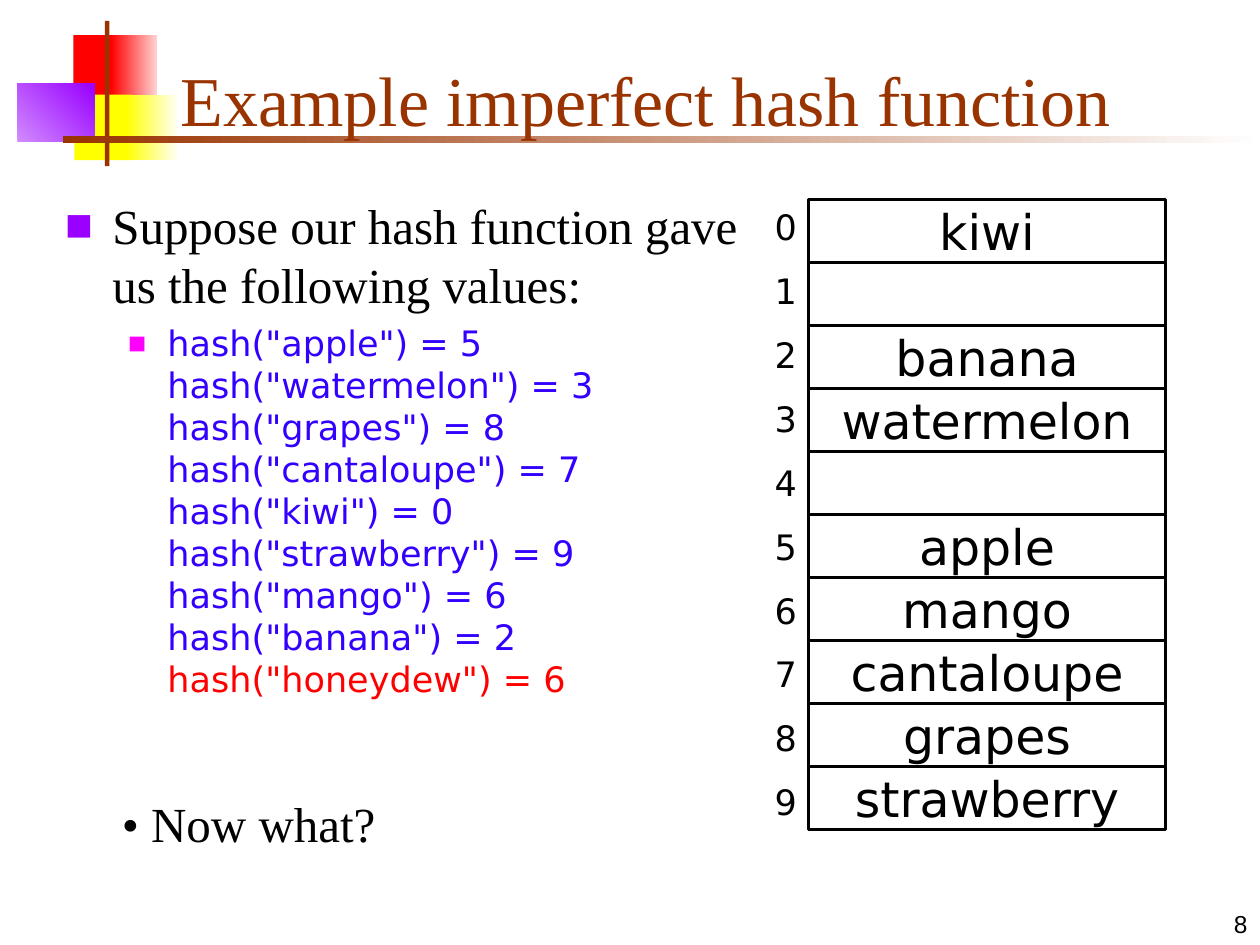
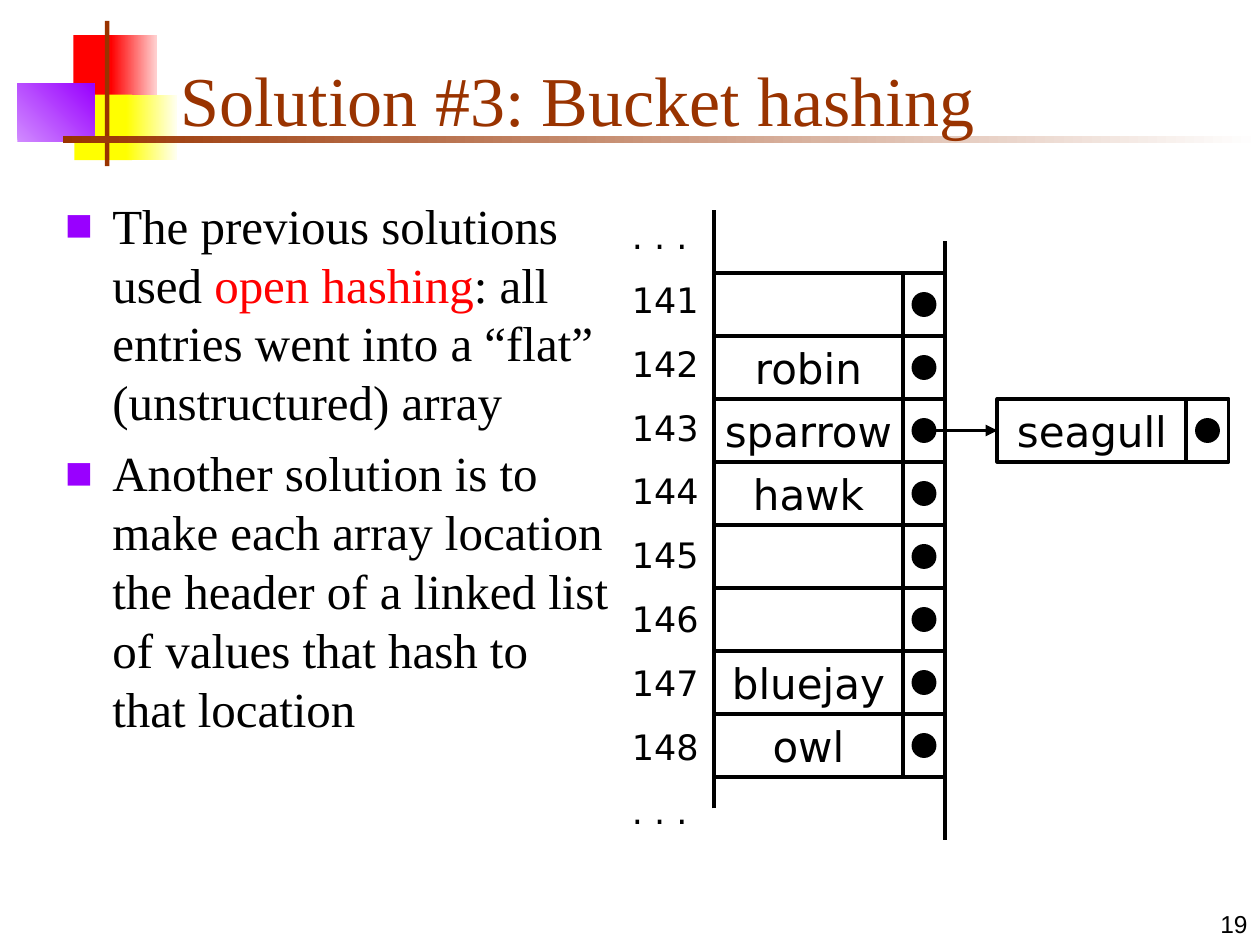
"""Build two slides on hash tables: an imperfect hash function and bucket hashing."""
from copy import deepcopy

from lxml import etree
from pptx import Presentation
from pptx.dml.color import RGBColor
from pptx.enum.shapes import MSO_CONNECTOR, MSO_SHAPE
from pptx.enum.text import MSO_ANCHOR, MSO_AUTO_SIZE, PP_ALIGN
from pptx.oxml.ns import qn
from pptx.util import Pt

RECT, CELL, DOT = MSO_SHAPE.RECTANGLE, MSO_SHAPE.FLOWCHART_PROCESS, MSO_SHAPE.OVAL
STRAIGHT = MSO_CONNECTOR.STRAIGHT
TOP, MIDDLE, BOTTOM = MSO_ANCHOR.TOP, MSO_ANCHOR.MIDDLE, MSO_ANCHOR.BOTTOM
LEFT, CENTER, RIGHT = PP_ALIGN.LEFT, PP_ALIGN.CENTER, PP_ALIGN.RIGHT
NO_FIT = MSO_AUTO_SIZE.NONE

COLORS = {
    "black": "000000", "white": "FFFFFF", "brown": "993300", "blue": "3300FF",
    "red": "FF0000", "pink": "FFD1D1", "yellow": "FFFF00", "cream": "FFFFF0",
    "lilac": "D18BFF", "purple": "9900FF", "magenta": "FF00FF",
}
SERIF, SANS, NUMBER_FONT = "Times New Roman", "DejaVu Sans", "Arial"
ROW, LINE = 36, 2.25

BANDS = [
    (42, 20, 25, 37.5, ["red"], 0),
    (63.5, 20, 26, 37.5, ["red", "pink"], 0),
    (42.5, 54, 33, 37.5, ["yellow"], 0),
    (72, 54, 29, 37.5, ["yellow", "cream"], 0),
    (10, 48, 44, 33, ["lilac", "purple"], 45),
    (60, 12, 2.5, 83, ["brown"], 0),
    (36, 78, 684, 3.75, ["brown", "white"], 0),
]
BULLETS = [(27, -27, 7, "purple", 60), (58.5, -22.5, 5, "magenta", 55)]

HASHES = [("apple", 5), ("watermelon", 3), ("grapes", 8), ("cantaloupe", 7),
          ("kiwi", 0), ("strawberry", 9), ("mango", 6), ("banana", 2),
          ("honeydew", 6)]
HASH_LINES = "\n".join(f'hash("{fruit}") = {slot}' for fruit, slot in HASHES)

SLIDES = [
    {"title": "Example imperfect hash function", "number": "8",
     "body": (404, 344),
     "list": [(0, ["Suppose our hash function gave us the following values:"]),
              (1, [HASH_LINES])],
     "labels": (435.5, 114, 26, [str(i) for i in range(10)])},
    {"title": "Solution #3: Bucket hashing", "number": "19",
     "body": (325, 375),
     "list": [(0, ["The previous solutions used ", "open hashing",
                   ": all entries went into a “flat” (unstructured) array"]),
              (0, ["Another solution is to make each array location the header "
                   "of a linked list of values that hash to that location"])],
     "labels": (354, 119, 54,
                [". . .", *(str(i) for i in range(141, 149)), ". . ."])},
]


def style(p, size, font, color="black", align=LEFT):
    """Format a paragraph and all its runs."""
    p.alignment = align
    for r in p.runs:
        r.font.size, r.font.name = Pt(size), font
        r.font.color.rgb = RGBColor.from_string(COLORS[color])


def add_box(s, kind, x, y, w, h, fill=None, text="", size=28):
    """Add an outlined shape with optional centred text."""
    sp = s.shapes.add_shape(kind, Pt(x), Pt(y), Pt(w), Pt(h))
    sp.shadow.inherit = False
    sp.line.color.rgb = RGBColor.from_string(COLORS["black"])
    sp.line.width = Pt(LINE)
    if fill:
        sp.fill.solid()
        sp.fill.fore_color.rgb = RGBColor.from_string(COLORS[fill])
    else:
        sp.fill.background()
    if text:
        tf = sp.text_frame
        tf.text, tf.word_wrap, tf.vertical_anchor = text, False, MIDDLE
        style(tf.paragraphs[0], size, SANS, align=CENTER)
    return sp


prs = Presentation()
prs.slide_width, prs.slide_height = Pt(720), Pt(540)

for content in SLIDES:
    s = prs.slides.add_slide(prs.slide_layouts[1])
    title, body = s.placeholders

    for x, y, w, h, fills, angle in BANDS:
        sp = add_box(s, RECT, x, y, w, h, fills[0])
        sp.line.fill.background()
        if len(fills) > 1:
            sp.fill.gradient()
            sp.fill.gradient_angle = angle
            for stop, name in zip(sp.fill.gradient_stops, fills):
                stop.color.rgb = RGBColor.from_string(COLORS[name])

    sp = s.shapes.add_textbox(Pt(570), Pt(504), Pt(150), Pt(36))
    tf = sp.text_frame
    tf.text, tf.word_wrap, tf.vertical_anchor = content["number"], True, BOTTOM
    style(tf.paragraphs[0], 14, NUMBER_FONT, align=RIGHT)

    for sp, (x, y, w, h), anchor in [
            (title, (96, 18, 613, 66), BOTTOM),
            (body, (30, 108, *content["body"]), TOP)]:
        s.shapes.element.append(sp.element)
        sp.left, sp.top, sp.width, sp.height = Pt(x), Pt(y), Pt(w), Pt(h)
        tf = sp.text_frame
        tf.auto_size, tf.vertical_anchor = NO_FIT, anchor

    title.text_frame.text = content["title"]
    style(title.text_frame.paragraphs[0], 40, SERIF, "brown")

    tf = body.text_frame
    for i, (level, parts) in enumerate(content["list"]):
        p = tf.add_paragraph() if i else tf.paragraphs[0]
        p.level = level
        if level:
            p.text = parts[0]
            style(p, 20, SANS, "blue")
            for br in p._p.findall(qn("a:br")):
                br.append(deepcopy(p.runs[0]._r.rPr))
            emphasis = p.runs[-1]
        else:
            for part in parts:
                p.add_run().text = part
            style(p, 28, SERIF)
            emphasis = p.runs[1] if len(parts) > 1 else None
        if emphasis:
            emphasis.font.color.rgb = RGBColor.from_string(COLORS["red"])
        margin, indent, before, color, percent = BULLETS[level]
        p.space_before = Pt(before)
        pPr = p._p.get_or_add_pPr()
        pPr.set("marL", str(Pt(margin)))
        pPr.set("indent", str(Pt(indent)))
        clr = etree.SubElement(pPr, qn("a:buClr"))
        etree.SubElement(clr, qn("a:srgbClr"), val=COLORS[color])
        etree.SubElement(pPr, qn("a:buSzPct"), val=str(percent * 1000))
        etree.SubElement(pPr, qn("a:buFont"), typeface=SANS)
        etree.SubElement(pPr, qn("a:buChar"), char="■")

    x, y, w, labels = content["labels"]
    tf = s.shapes.add_textbox(Pt(x), Pt(y), Pt(w), Pt(10 * ROW)).text_frame
    tf.text, tf.word_wrap = "\n".join(labels), True
    for p in tf.paragraphs:
        p.space_before = Pt(12.5)
        style(p, 20, SANS)

hash_slide, bucket_slide = prs.slides

table = {slot: fruit for fruit, slot in HASHES if fruit != "honeydew"}
for i in range(10):
    add_box(hash_slide, CELL, 462, 114 + i * ROW, 204, ROW, text=table.get(i, ""))

sp = hash_slide.shapes.add_textbox(Pt(62.5), Pt(450), Pt(162), Pt(41))
sp.text_frame.text, sp.text_frame.word_wrap = "• Now what?", True
style(sp.text_frame.paragraphs[0], 28, SERIF)

birds = ["", "robin", "sparrow", "hawk", "", "", "bluejay", "owl"]
buckets = [(408, 156 + i * ROW, bird) for i, bird in enumerate(birds)]
for x, y, bird in [*buckets, (570, 228, "seagull")]:
    add_box(bucket_slide, CELL, x, y, 108, ROW, text=bird, size=24)
    add_box(bucket_slide, CELL, x + 108, y, 24, ROW)
    add_box(bucket_slide, DOT, x + 114, y + 12, 12, 12, "black")

for x1, y1, x2, y2, arrow in [(408, 462, 408, 120, False),
                              (540, 480, 540, 138, False),
                              (528, 246, 570, 246, True)]:
    line = bucket_slide.shapes.add_connector(STRAIGHT, Pt(x1), Pt(y1), Pt(x2), Pt(y2))
    line.line.color.rgb = RGBColor.from_string(COLORS["black"])
    line.line.width = Pt(LINE)
    if arrow:
        etree.SubElement(line.line._get_or_add_ln(), qn("a:tailEnd"), type="triangle")
    etree.SubElement(line.element.spPr, qn("a:effectLst"))

prs.save("out.pptx")
